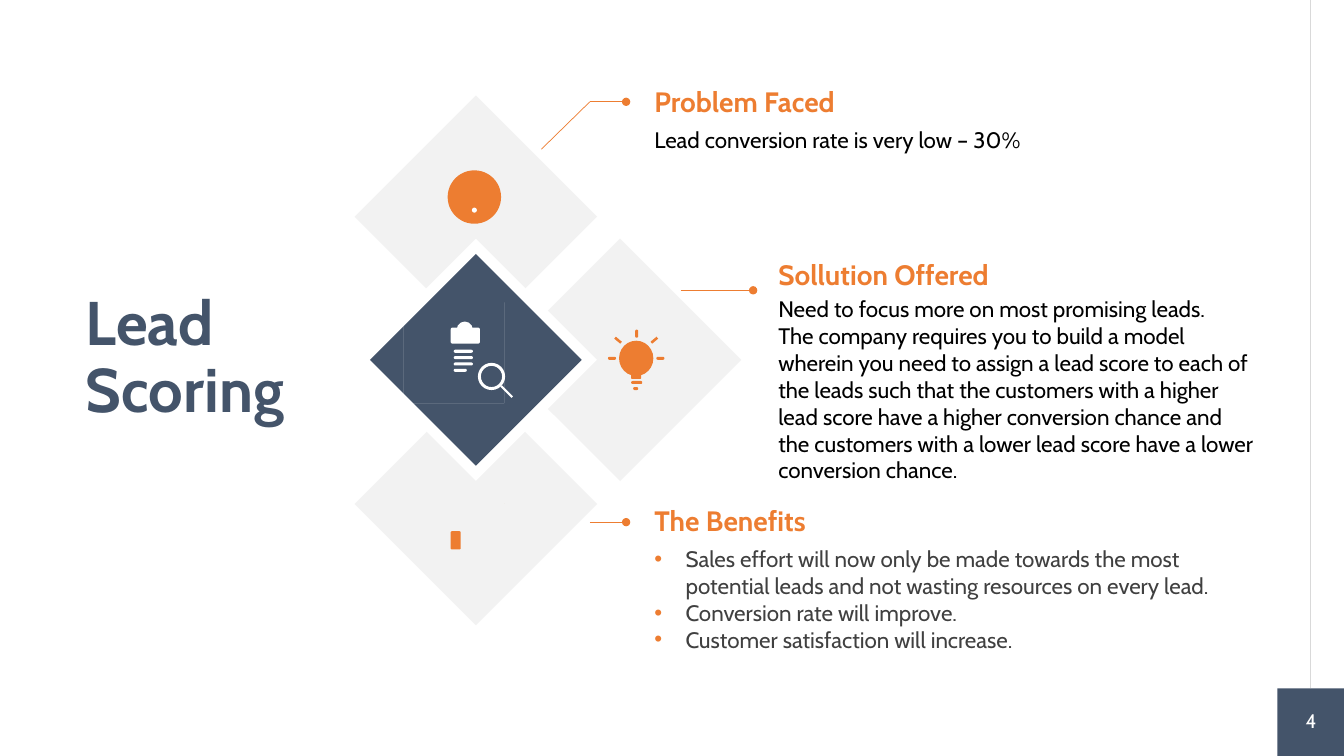
from dataclasses import dataclass
from math import cos, pi, sin

from pptx import Presentation
from pptx.dml.color import RGBColor
from pptx.enum.shapes import MSO_CONNECTOR, MSO_SHAPE
from pptx.enum.text import MSO_ANCHOR, MSO_AUTO_SIZE, PP_ALIGN
from pptx.oxml.ns import qn
from pptx.shapes.autoshape import Shape
from pptx.slide import Slide
from pptx.util import Inches, Pt
from lxml.etree import SubElement

FONT = "Cabin"
NAVY = RGBColor(0x44, 0x54, 0x6A)
ORANGE = RGBColor(0xED, 0x7D, 0x31)
PALE = RGBColor(0xF2, 0xF2, 0xF2)
RULE = RGBColor(0xD9, 0xD9, 0xD9)
WHITE = RGBColor(0xFF, 0xFF, 0xFF)
BLACK = RGBColor(0, 0, 0)
CHARCOAL = RGBColor(0x40, 0x40, 0x40)
BULLET_INDENT = 0.31

Point = tuple[float, float]
Frame = tuple[float, float, float, float]


@dataclass(frozen=True)
class TextBlock:
    frame: Frame
    lines: tuple[str, ...]
    size: int
    color: RGBColor
    bold: bool = False
    bulleted: bool = False
    spacing: float = 1.0
    align: PP_ALIGN = PP_ALIGN.LEFT
    anchor: MSO_ANCHOR = MSO_ANCHOR.TOP


@dataclass(frozen=True)
class Line:
    start: Point
    end: Point
    color: RGBColor = ORANGE
    width: float = 0.5
    dotted_end: bool = False


@dataclass(frozen=True)
class Solid:
    kind: MSO_SHAPE
    frame: Frame
    color: RGBColor
    rotation: int = 0
    adjustment: float | None = None


@dataclass(frozen=True)
class Outline:
    points: tuple[Point, ...]
    color: RGBColor


def heading(frame: Frame, title: str) -> TextBlock:
    return TextBlock(frame, (title,), 20, ORANGE, bold=True)


def pill(frame: Frame, color: RGBColor, adjustment: float = 0.5) -> Solid:
    return Solid(MSO_SHAPE.ROUNDED_RECTANGLE, frame, color, adjustment=adjustment)


def paint(shape: Shape, color: RGBColor) -> None:
    shape.shadow.inherit = False
    shape.fill.solid()
    shape.fill.fore_color.rgb = color
    shape.line.fill.background()


def draw_solid(page: Slide, solid: Solid) -> None:
    shape = page.shapes.add_shape(solid.kind, *map(Inches, solid.frame))
    paint(shape, solid.color)
    shape.rotation = solid.rotation
    if solid.adjustment is not None:
        shape.adjustments[0] = solid.adjustment


def trace(page: Slide, points: tuple[Point, ...], close: bool) -> Shape:
    builder = page.shapes.build_freeform(*points[0], scale=Inches(1))
    builder.add_line_segments(points[1:], close=close)
    return builder.convert_to_shape()


def draw_line(page: Slide, line: Line) -> None:
    ends = map(Inches, line.start + line.end)
    connector = page.shapes.add_connector(MSO_CONNECTOR.STRAIGHT, *ends)
    connector.line.color.rgb = line.color
    connector.line.width = Pt(line.width)
    if line.dotted_end:
        SubElement(connector.get_or_add_ln(), qn("a:tailEnd"), type="oval")
    SubElement(connector.element.spPr, qn("a:effectLst"))


def draw_text(page: Slide, block: TextBlock) -> None:
    box = page.shapes.add_textbox(*map(Inches, block.frame))
    body = box.text_frame
    body.word_wrap = True
    body.auto_size = MSO_AUTO_SIZE.SHAPE_TO_FIT_TEXT
    body.vertical_anchor = block.anchor
    body.margin_left = body.margin_right = body.margin_top = body.margin_bottom = 0
    for index, words in enumerate(block.lines):
        para = body.add_paragraph() if index else body.paragraphs[0]
        para.alignment = block.align
        para.line_spacing = block.spacing
        if block.bulleted:
            properties = para._p.get_or_add_pPr()
            properties.set("marL", str(Inches(BULLET_INDENT)))
            properties.set("indent", str(-Inches(BULLET_INDENT)))
            tint = SubElement(properties, qn("a:buClr"))
            SubElement(tint, qn("a:srgbClr"), val=str(ORANGE))
            SubElement(properties, qn("a:buFont"), typeface="Arial")
            SubElement(properties, qn("a:buChar"), char="•")
        span = para.add_run()
        span.text = words
        span.font.name = FONT
        span.font.size = Pt(block.size)
        span.font.bold = block.bold
        span.font.color.rgb = block.color


def draw_question_hook(page: Slide, center: Point, radius: float) -> None:
    """Draw three quarters of a ring, running on into a short stem."""
    x, y = center
    angles = [pi + step * pi / 16 for step in range(25)]
    ring = tuple((x + radius * cos(a), y + radius * sin(a)) for a in angles)
    hook = trace(page, ring + ((x, y + 0.13),), close=False)
    hook.shadow.inherit = False
    hook.fill.background()
    hook.line.color.rgb = WHITE
    hook.line.width = Pt(1.4)


BACKDROP = (
    Line((13, 0), (13, 6.83), RULE),
    Solid(MSO_SHAPE.RECTANGLE, (12.67, 6.83, 0.67, 0.67), NAVY),
    *(Solid(MSO_SHAPE.RECTANGLE, (x, y, 1.7, 1.7), PALE, rotation=315)
      for x, y in ((3.87, 1.3), (3.87, 4.15), (5.3, 2.72))),
    Solid(MSO_SHAPE.DIAMOND, (3.52, 2.37, 2.4, 2.4), WHITE),
    Solid(MSO_SHAPE.DIAMOND, (3.67, 2.52, 2.1, 2.1), NAVY),
)

CLIPBOARD = (
    Outline(((4.44, 3.28), (4.36, 3.28), (4.34, 3.3), (4.34, 3.81), (4.36, 3.87), (4.42, 3.89),
             (4.81, 3.89), (4.73, 3.82), (4.41, 3.82), (4.41, 3.34), (4.44, 3.34)), WHITE),
    Outline(((4.79, 3.28), (4.88, 3.28), (4.88, 3.57), (4.82, 3.58), (4.82, 3.34),
             (4.79, 3.34)), WHITE),
    Solid(MSO_SHAPE.OVAL, (4.53, 3.19, 0.16, 0.16), WHITE),
    pill((4.47, 3.25, 0.29, 0.16), WHITE, 0.12),
    *(pill((4.5, 3.47 + row * 0.063, width, 0.03), WHITE)
      for row, width in enumerate((0.19, 0.19, 0.19, 0.13))),
    Solid(MSO_SHAPE.DONUT, (4.74, 3.6, 0.27, 0.27), WHITE, adjustment=0.11),
    Line((4.97, 3.83), (5.08, 3.94), WHITE, 1.5),
)

BULB = (
    Solid(MSO_SHAPE.OVAL, (6.14, 3.38, 0.34, 0.35), ORANGE),
    pill((6.26, 3.66, 0.1, 0.1), ORANGE, 0.12),
    pill((6.26, 3.78, 0.11, 0.03), ORANGE),
    pill((6.28, 3.84, 0.05, 0.03), ORANGE),
    pill((6.3, 3.27, 0.03, 0.08), ORANGE),
    pill((6.51, 3.54, 0.08, 0.03), ORANGE),
    pill((6.03, 3.54, 0.08, 0.03), ORANGE),
    Line((6.1, 3.35), (6.16, 3.4), width=1.8),
    Line((6.52, 3.35), (6.46, 3.4), width=1.8),
)

QUESTION = (
    Solid(MSO_SHAPE.OVAL, (4.44, 1.69, 0.53, 0.53), ORANGE),
    Solid(MSO_SHAPE.OVAL, (4.68, 2.06, 0.05, 0.05), WHITE),
)

STAR_IN_HAND = (
    Outline(((4.77, 4.94), (4.78, 4.94), (4.83, 5.07), (4.96, 5.07), (4.97, 5.09), (4.86, 5.19),
             (4.9, 5.33), (4.89, 5.34), (4.77, 5.25), (4.72, 5.29), (4.66, 5.26), (4.68, 5.19),
             (4.58, 5.09), (4.59, 5.07), (4.72, 5.07)), ORANGE),
    Outline(((4.59, 5.28), (4.65, 5.28), (4.73, 5.32), (4.72, 5.33), (4.66, 5.33), (4.67, 5.35),
             (4.86, 5.35), (4.92, 5.37), (4.95, 5.42), (4.94, 5.43), (4.59, 5.43)), ORANGE),
    pill((4.47, 5.27, 0.1, 0.18), ORANGE, 0.12),
)

LEADERS = (
    Line((6.75, 2.88), (7.47, 2.88), dotted_end=True),
    Line((5.85, 1.01), (5.37, 1.48)),
    *(Line((5.85, y), (6.21, y), dotted_end=True) for y in (1.01, 5.18)),
)

TEXTS = (
    TextBlock((12.67, 7.03, 0.67, 0.24), ("4",), 14, WHITE,
              align=PP_ALIGN.CENTER, anchor=MSO_ANCHOR.MIDDLE),
    TextBlock((0.85, 2.9, 3.11, 1.33), ("Lead Scoring",), 44, NAVY, bold=True, spacing=0.9),
    heading((6.49, 0.84, 6, 0.34), "Problem Faced"),
    TextBlock((6.49, 1.25, 6, 0.27), ("Lead conversion rate is very low – 30%",), 16, BLACK),
    heading((7.72, 2.55, 4.76, 0.31), "Sollution Offered"),
    TextBlock((7.72, 2.93, 4.76, 1.88), (
        "Need to focus more on most promising leads.",
        "The company requires you to build a model wherein you need to assign a lead score to "
        "each of the leads such that the customers with a higher lead score have a higher "
        "conversion chance and the customers with a lower lead score have a lower conversion "
        "chance."), 16, BLACK),
    heading((6.49, 5, 6, 0.34), "The Benefits"),
    TextBlock((6.49, 5.41, 6, 1.08), (
        "Sales effort will now only be made towards the most potential leads and not wasting "
        "resources on every lead.",
        "Conversion rate will improve.",
        "Customer satisfaction will increase."), 16, CHARCOAL, bulleted=True),
)


def main() -> None:
    deck = Presentation()
    deck.slide_width, deck.slide_height = Inches(13.33), Inches(7.5)
    page = deck.slides.add_slide(deck.slide_layouts[6])
    for part in BACKDROP + CLIPBOARD + BULB + QUESTION + STAR_IN_HAND + LEADERS:
        if isinstance(part, Solid):
            draw_solid(page, part)
        elif isinstance(part, Outline):
            paint(trace(page, part.points, close=True), part.color)
        else:
            draw_line(page, part)
    draw_question_hook(page, (4.71, 1.9), 0.07)
    for block in TEXTS:
        draw_text(page, block)
    deck.save("out.pptx")


if __name__ == "__main__":
    main()
